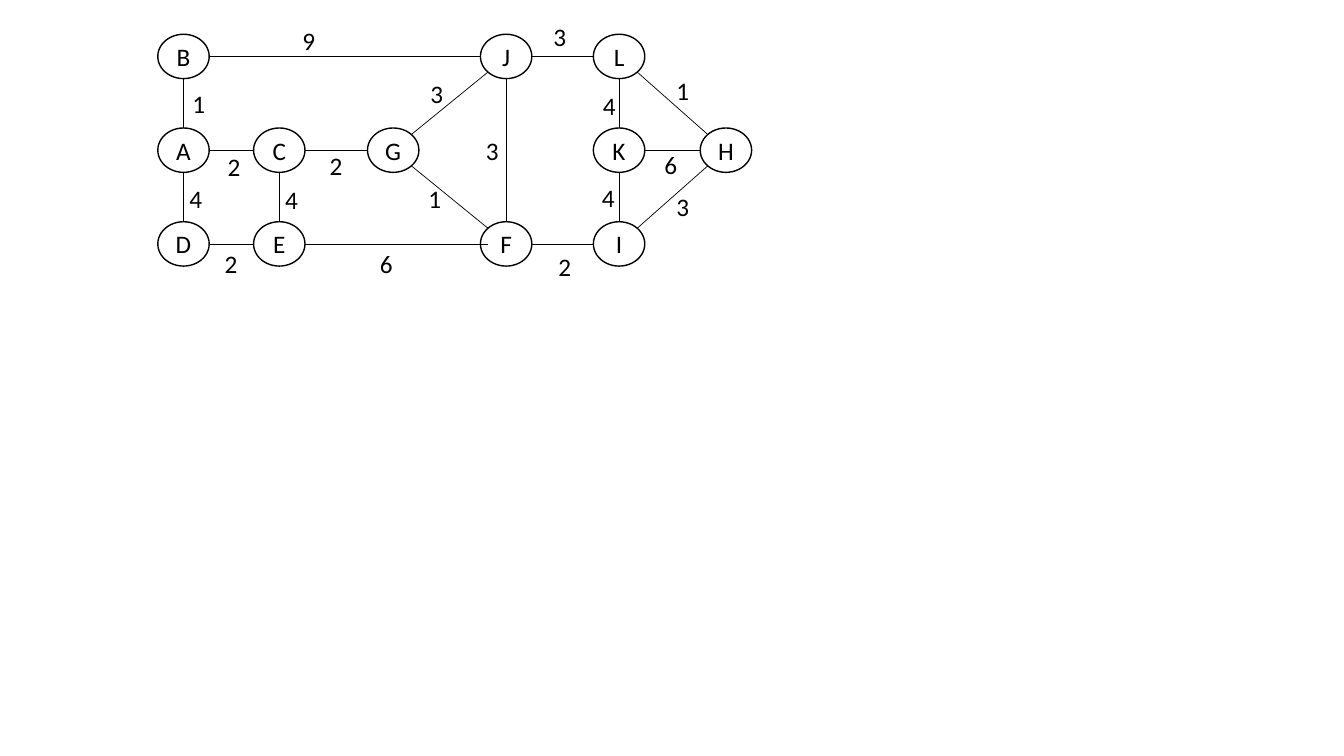
from math import hypot

from lxml.etree import SubElement
from pptx import Presentation
from pptx.dml.color import RGBColor
from pptx.enum.shapes import MSO_CONNECTOR as Connector, MSO_SHAPE as Shape
from pptx.enum.text import MSO_ANCHOR as Anchor, MSO_AUTO_SIZE as AutoSize, PP_ALIGN as Align
from pptx.oxml.ns import qn
from pptx.util import Inches, Pt

BLACK = "000000"
WHITE = "FFFFFF"
NODE_WIDTH, NODE_HEIGHT = 0.51, 0.44
LABEL_HEIGHT = 0.4
ROWS = (0.56, 1.49, 2.42)
COLUMNS = (1.82, 2.77, 3.9, 5.02, 6.14, 7.2)
GRID = ("B  JL ", "ACG KH", "DE FI ")
NODES = {
    name: (x, y)
    for y, names in zip(ROWS, GRID)
    for x, name in zip(COLUMNS, names)
    if name.strip()
}
EDGES = (
    ("BJ", "9", 2.9, 0.2),
    ("JL", "3", 5.39, 0.16),
    ("LH", "1", 6.61, 0.7),
    ("KL", "4", 5.88, 0.85),
    ("KI", "4", 5.87, 1.76),
    ("FI", "2", 5.44, 2.44),
    ("GF", "1", 4.15, 1.77),
    ("GJ", "3", 4.17, 0.73),
    ("CG", "2", 3.17, 1.44),
    ("BA", "1", 1.81, 0.83),
    ("AD", "4", 1.78, 1.77),
    ("CE", "4", 2.73, 1.78),
    ("AC", "2", 2.16, 1.45),
    ("DE", "2", 2.13, 2.41),
    ("KH", "6", 6.49, 1.43),
    ("IH", "3", 6.61, 1.85),
    ("EF", "6", 3.67, 2.41),
    ("FJ", "3", 4.72, 1.29),
)
END_REACH = {"EF": 0.7}
LABEL_WIDTHS = {"1": 0.26, "9": 0.26}


def color(value):
    return RGBColor.from_string(value)


def write(frame, text, size=18, font="Calibri", fill=BLACK, align=Align.LEFT, anchor=Anchor.TOP):
    frame.vertical_anchor = anchor
    para = frame.paragraphs[0]
    para.alignment = align
    span = para.add_run()
    span.text = text
    span.font.size = Pt(size)
    span.font.name = font
    span.font.color.rgb = color(fill)


def add_node(page, name, x, y):
    node = page.shapes.add_shape(
        Shape.OVAL,
        Inches(x - NODE_WIDTH / 2),
        Inches(y - NODE_HEIGHT / 2),
        Inches(NODE_WIDTH),
        Inches(NODE_HEIGHT),
    )
    node.shadow.inherit = False
    node.fill.solid()
    node.fill.fore_color.rgb = color(WHITE)
    node.line.color.rgb = color(BLACK)
    node.line.width = Pt(1)
    write(node.text_frame, name, align=Align.CENTER, anchor=Anchor.MIDDLE)


def rim_point(name, other, reach=1):
    x, y = NODES[name]
    other_x, other_y = NODES[other]
    step_x = (other_x > x) - (other_x < x)
    step_y = (other_y > y) - (other_y < y)
    scale = reach / hypot(step_x, step_y) / 2
    return Inches(x + step_x * scale * NODE_WIDTH), Inches(y + step_y * scale * NODE_HEIGHT)


def add_edge(page, start, end, reach=1):
    edge = page.shapes.add_connector(
        Connector.STRAIGHT, *rim_point(start, end), *rim_point(end, start, reach)
    )
    edge.line.color.rgb = color(BLACK)
    edge.line.width = Pt(0.5)
    SubElement(edge.element.spPr, qn("a:effectLst"))


def add_weight(page, weight, left, top):
    width = LABEL_WIDTHS.get(weight, 0.28)
    box = page.shapes.add_textbox(Inches(left), Inches(top), Inches(width), Inches(LABEL_HEIGHT))
    box.text_frame.word_wrap = False
    box.text_frame.auto_size = AutoSize.SHAPE_TO_FIT_TEXT
    write(box.text_frame, weight)


def main():
    deck = Presentation()
    deck.slide_width = Inches(13.33)
    deck.slide_height = Inches(7.5)
    page = deck.slides.add_slide(deck.slide_layouts[6])
    for name, (x, y) in NODES.items():
        add_node(page, name, x, y)
    for ends, weight, left, top in EDGES:
        add_edge(page, *ends, reach=END_REACH.get(ends, 1))
        add_weight(page, weight, left, top)
    deck.save("out.pptx")


if __name__ == "__main__":
    main()
